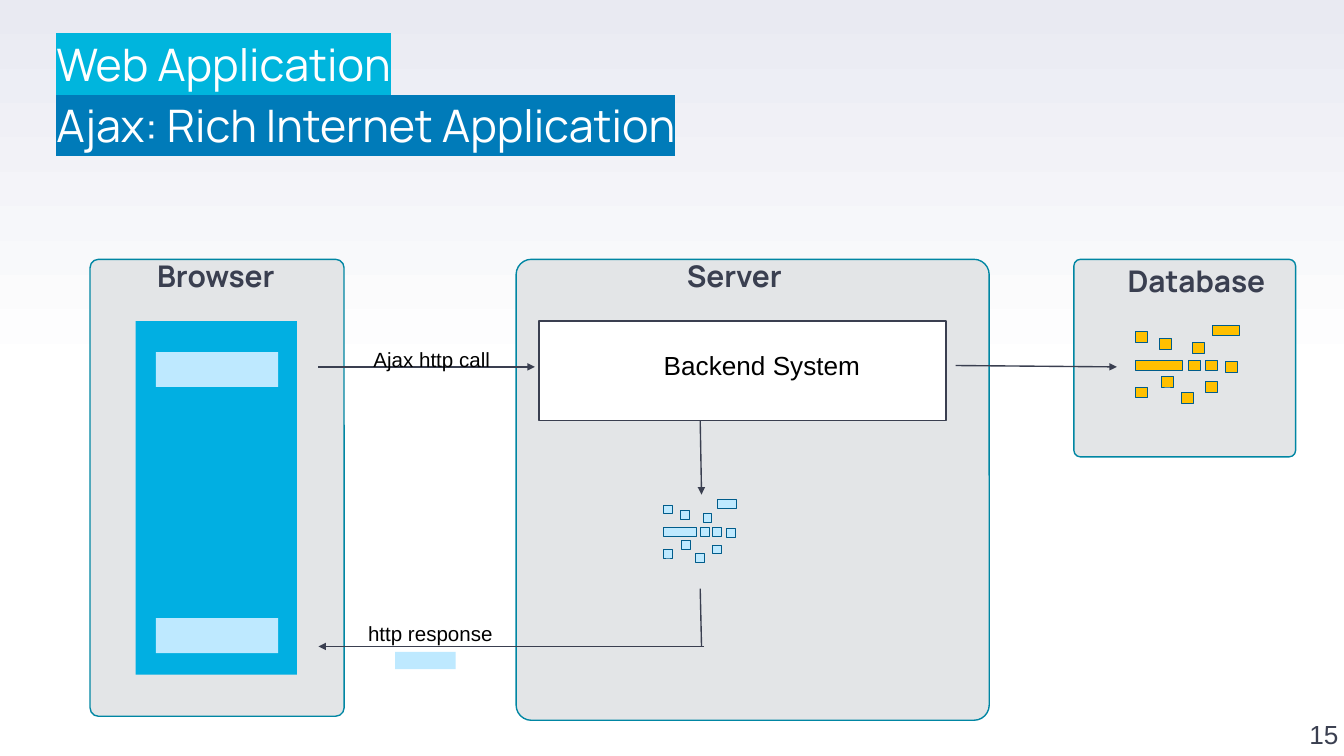
"""Build a slide on how an Ajax call flows between browser, server and database."""
from lxml import etree
from pptx import Presentation
from pptx.dml.color import RGBColor
from pptx.enum.shapes import MSO_CONNECTOR, MSO_SHAPE
from pptx.enum.text import MSO_ANCHOR, MSO_AUTO_SIZE, PP_ALIGN
from pptx.oxml.ns import qn
from pptx.util import Inches, Pt

RECT, ROUND = MSO_SHAPE.RECTANGLE, MSO_SHAPE.ROUNDED_RECTANGLE
LINE = MSO_CONNECTOR.STRAIGHT
TOP, BOTTOM = MSO_ANCHOR.TOP, MSO_ANCHOR.BOTTOM
LEFT, RIGHT = PP_ALIGN.LEFT, PP_ALIGN.RIGHT
FIXED = MSO_AUTO_SIZE.NONE
rgb = RGBColor.from_string
INK, PALE, WHITE = "3A3F50", "BEE9FF", "FFFFFF"

deck = Presentation()
deck.slide_width, deck.slide_height = Inches(10), Inches(10 * 9 / 16)
slide = deck.slides.add_slide(deck.slide_layouts[5])
shapes = slide.shapes
back = slide.background.fill
back.gradient()
back.gradient_angle = 90
for stop, place, color in zip(back.gradient_stops, (0.5, 1), (WHITE, "E9EAF2")):
    stop.position, stop.color.rgb = place, rgb(color)


def add_box(home, kind, at, fill, edge=None, width=0.75):
    box = home.add_shape(kind, *map(Inches, at))
    box.shadow.inherit = False
    box.fill.solid()
    box.fill.fore_color.rgb = rgb(fill)
    if edge:
        box.line.color.rgb = rgb(edge)
        box.line.width = Pt(width)
    else:
        box.line.fill.background()
    return box


def add_text(at, text, size, face, color, inset=0):
    frame = shapes.add_textbox(*map(Inches, at)).text_frame
    frame.word_wrap = True
    frame.margin_left = frame.margin_right = Inches(inset)
    frame.margin_top = frame.margin_bottom = Inches(inset / 2)
    para = frame.paragraphs[0]
    para.text = text
    para.font.size, para.font.name = Pt(size), face
    para.font.color.rgb = rgb(color)
    return frame


title = shapes.title
title.left, title.top = Inches(0.42), Inches(0.21)
title.width, title.height = Inches(5.69), Inches(0.98)
frame = title.text_frame
frame.margin_left = frame.margin_right = frame.margin_top = frame.margin_bottom = 0
frame.vertical_anchor, frame.auto_size, frame.word_wrap = TOP, FIXED, True
frame.text = "Web Application\nAjax: Rich Internet Application"
for para, color in zip(frame.paragraphs, ("00B5DD", "007BB9")):
    para.alignment, para.line_spacing = LEFT, 1.15
    para.font.size, para.font.name = Pt(24), "Manrope"
    para.font.color.rgb = rgb(WHITE)
    mark = etree.SubElement(para.runs[0]._r.get_or_add_rPr(), qn("a:highlight"))
    etree.SubElement(mark, qn("a:srgbClr"), val=color)

for at in ((7.99, 1.93, 1.65, 1.47), (3.84, 1.93, 3.52, 3.43), (0.67, 1.93, 1.89, 3.4)):
    add_box(shapes, ROUND, at, "E3E5E7", "0086A3").adjustments[0] = 0.033

for at, name in (
    ((0.55, 1.89, 2.3, 0.29), "Browser"),
    ((4.49, 1.89, 1.46, 0.29), "Server"),
    ((7.77, 1.93, 1.73, 0.29), "Database"),
):
    para = add_text(at, name, 16, "Manrope", INK).paragraphs[0]
    para.level, para.line_spacing, para.font.bold = 1, 1.1, True
    para._p.get_or_add_pPr().set("marL", str(Inches(0.62)))

add_box(shapes, RECT, (1.01, 2.39, 1.2, 2.63), "01AFE2")
for top in (2.62, 4.6):
    add_box(shapes, RECT, (1.16, top, 0.91, 0.26), PALE)
add_box(shapes, RECT, (4.01, 2.39, 3.03, 0.74), WHITE, INK)
add_box(shapes, RECT, (2.94, 4.85, 0.45, 0.13), PALE)

items = (
    (0, 0.05, 0.09), (0.18, 0.1, 0.09), (0, 0.26, 0.35), (0.57, 0, 0.2),
    (0, 0.46, 0.09), (0.39, 0.26, 0.09), (0.52, 0.26, 0.09), (0.67, 0.27, 0.09),
    (0.19, 0.38, 0.09), (0.52, 0.42, 0.09), (0.34, 0.5, 0.09), (0.42, 0.13, 0.09),
)
for left, top, wide, high, fill in ((4.94, 3.72, 0.7, 0.8, PALE), (8.45, 2.42, 1, 1, "FFC000")):
    group = shapes.add_group_shape().shapes
    for x, y, size in items:
        at = (left + x * wide, top + y * high, size * wide, 0.08 * high)
        add_box(group, RECT, at, fill, "005C8B", 0.5)

for ends, arrow in (
    ((2.37, 2.73, 3.98, 2.73), True),
    ((7.11, 2.72, 8.31, 2.73), True),
    ((5.21, 3.13, 5.22, 3.68), True),
    ((5.24, 4.81, 2.37, 4.81), True),
    ((5.22, 4.81, 5.21, 4.38), False),
):
    line = shapes.add_connector(LINE, *map(Inches, ends))
    line.line.color.rgb = rgb(INK)
    line.line.width = Pt(0.75)
    if arrow:
        edge = line.line._get_or_add_ln()
        etree.SubElement(edge, qn("a:tailEnd"), type="triangle", w="sm", len="sm")
    etree.SubElement(line._element.spPr, qn("a:effectLst"))

for at, text, size in (
    ((4.84, 2.55, 1.93, 0.34), "Backend System", 14),
    ((2.68, 2.53, 1.45, 0.29), "Ajax http call", 11),
    ((2.64, 4.57, 1.57, 0.29), "http response", 11),
):
    add_text(at, text, size, "Arial", "000000", 0.1)

page = add_text((9.46, 5.07, 0.5, 0.51), "15", 14, "Arial", INK)
page.vertical_anchor = BOTTOM
page.paragraphs[0].alignment = RIGHT

deck.save("out.pptx")
